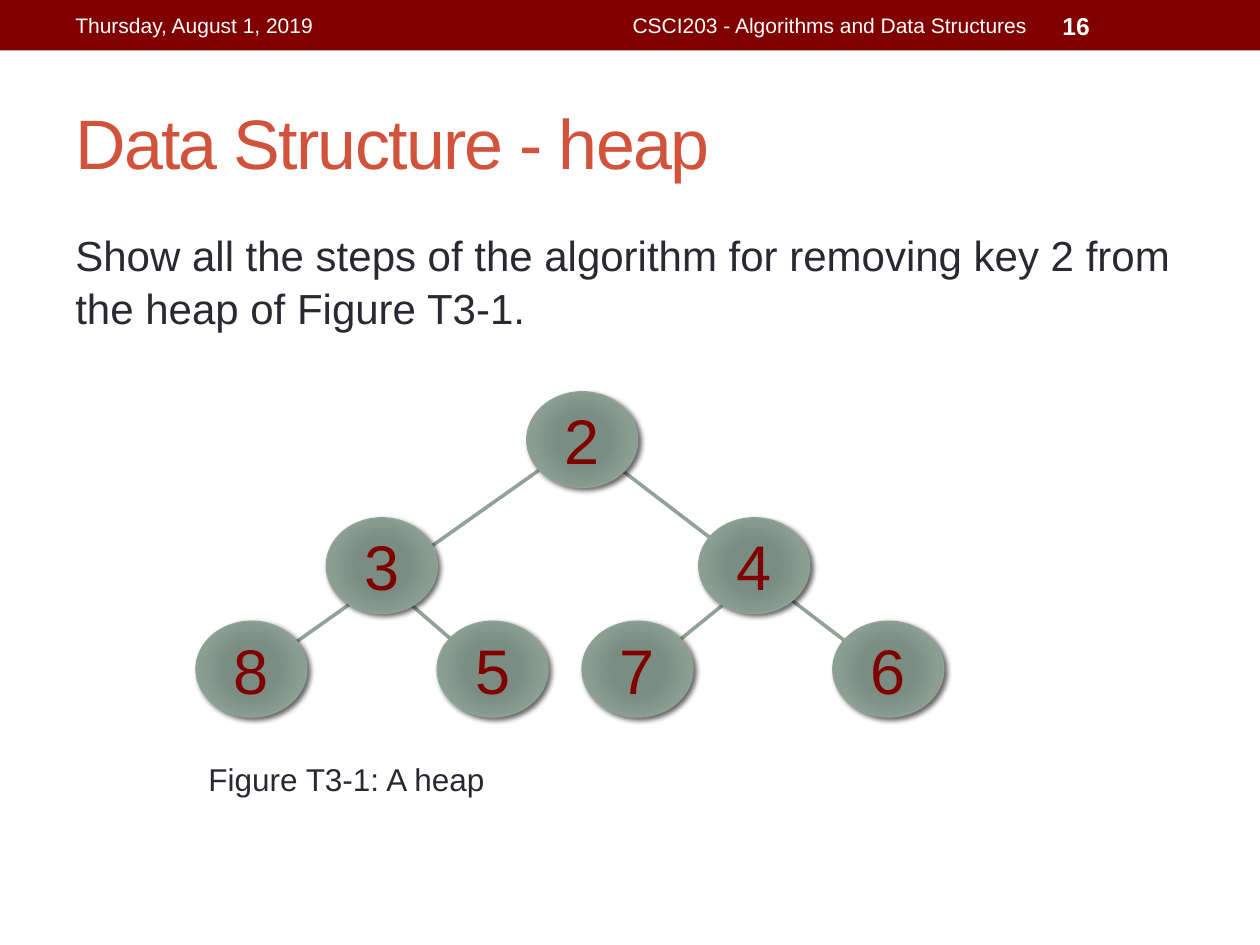
from lxml import etree
from pptx import Presentation
from pptx.dml.color import RGBColor
from pptx.enum.shapes import MSO_CONNECTOR, MSO_SHAPE
from pptx.enum.text import MSO_ANCHOR, PP_ALIGN
from pptx.oxml import parse_xml
from pptx.oxml.ns import nsdecls, qn
from pptx.util import Pt

LEFT, CENTER, RIGHT = PP_ALIGN.LEFT, PP_ALIGN.CENTER, PP_ALIGN.RIGHT
TOP, MIDDLE = MSO_ANCHOR.TOP, MSO_ANCHOR.MIDDLE
RECT, OVAL = MSO_SHAPE.RECTANGLE, MSO_SHAPE.OVAL
STRAIGHT = MSO_CONNECTOR.STRAIGHT

MAROON, DARK, WHITE = "800000", "292934", "FFFFFF"
SAGE = "93A299"
NODE_STOPS = [(0, "7B8E82"), (34, "7B8D83"), (70, "8A9E92"), (100, SAGE)]
NODE_W, NODE_H = 63.36, 54.72


def rgb(value):
    return RGBColor.from_string(value)


class HeapSlide:
    font = "Arial"

    def __init__(self, prs):
        self.s = prs.slides.add_slide(prs.slide_layouts[6])

    def set_text(self, sp, text, size, color, align=LEFT, anchor=MIDDLE,
                 bold=False, line_spacing=None, tracking=None):
        tf = sp.text_frame
        tf.word_wrap = True
        tf.vertical_anchor = anchor
        p = tf.paragraphs[0]
        p.alignment = align
        p.line_spacing = line_spacing
        r = p.add_run()
        r.text = text
        values = {"name": self.font, "size": Pt(size), "bold": bold}
        for name, value in values.items():
            setattr(r.font, name, value)
        r.font.color.rgb = rgb(color)
        if tracking is not None:
            r._r.get_or_add_rPr().set("spc", str(tracking * 100))

    def text(self, box, text, size, color, **style):
        sp = self.s.shapes.add_textbox(*map(Pt, box))
        self.set_text(sp, text, size, color, **style)

    def band(self, box, color):
        sp = self.s.shapes.add_shape(RECT, *map(Pt, box))
        sp.shadow.inherit = False
        sp.fill.solid()
        sp.fill.fore_color.rgb = rgb(color)
        sp.line.fill.background()

    def edge(self, start, end):
        line = self.s.shapes.add_connector(STRAIGHT, *map(Pt, start + end))
        line.line.color.rgb = rgb(SAGE)
        line.line.width = Pt(2.08)
        etree.SubElement(line._element.spPr, qn("a:effectLst"))

    def node(self, key, left, top):
        """Draw a heap node with a radial gradient and a soft shadow."""
        box = left, top, NODE_W, NODE_H
        sp = self.s.shapes.add_shape(OVAL, *map(Pt, box))
        sp.line.color.rgb = rgb(SAGE)
        sp.line.width = Pt(0.75)
        stops = "".join(
            f'<a:gs pos="{pos * 1000}"><a:srgbClr val="{color}"/></a:gs>'
            for pos, color in NODE_STOPS)
        fill = parse_xml(
            f'<a:gradFill {nsdecls("a")} rotWithShape="1">'
            f'<a:gsLst>{stops}</a:gsLst><a:path path="circle">'
            '<a:fillToRect l="100000" t="100000" r="100000" b="100000"/>'
            '</a:path></a:gradFill>')
        shadow = parse_xml(
            f'<a:effectLst {nsdecls("a")}>'
            f'<a:outerShdw blurRad="{Pt(3)}" dist="{Pt(2)}" dir="2700000"'
            ' algn="tl" rotWithShape="0"><a:srgbClr val="000000">'
            '<a:alpha val="60000"/></a:srgbClr></a:outerShdw></a:effectLst>')
        sp_pr = sp._element.spPr
        sp_pr.find(qn("a:prstGeom")).addnext(fill)
        sp_pr.append(shadow)
        self.set_text(sp, key, 36, MAROON, align=CENTER)


def main():
    prs = Presentation()
    prs.slide_width, prs.slide_height = Pt(720), Pt(540)
    slide = HeapSlide(prs)

    slide.band((0, 0, 720, 28.8), MAROON)
    slide.text((36, 42, 648, 78), "Data Structure - heap", 40, "D2533C",
               tracking=-1)
    slide.text((36, 126, 648, 384),
               "Show all the steps of the algorithm for removing key 2 from "
               "the heap of Figure T3-1.", 24, DARK,
               anchor=TOP, line_spacing=1.05)
    slide.text((36, 1.5, 228, 26), "Thursday, August 1, 2019", 12, WHITE)
    slide.text((270, 1.5, 324, 26),
               "CSCI203 - Algorithms and Data Structures", 12, WHITE,
               align=RIGHT)
    slide.text((600, 1.5, 84, 26), "16", 14, WHITE, bold=True)

    root, leaf_y, inner_y = (332.6, 251.3), 385.2, 329.8
    edges = [
        ((143.3, leaf_y), root),
        (root, (507.6, leaf_y)),
        ((364.3, leaf_y), (432.7, inner_y)),
        ((280.8, leaf_y), (216.7, inner_y)),
    ]
    for start, end in edges:
        slide.edge(start, end)

    levels = [
        (223.9, [("2", 301)]),
        (295.9, [("3", 186.5), ("4", 399.3)]),
        (355, [("8", 112), ("5", 249.8), ("7", 332.6), ("6", 475.9)]),
    ]
    for top, nodes in levels:
        for key, left in nodes:
            slide.node(key, left, top)

    slide.text((112, 430.6, 353.5, 29), "Figure T3-1: A heap", 18, DARK,
               anchor=TOP)
    prs.save("out.pptx")


if __name__ == "__main__":
    main()
